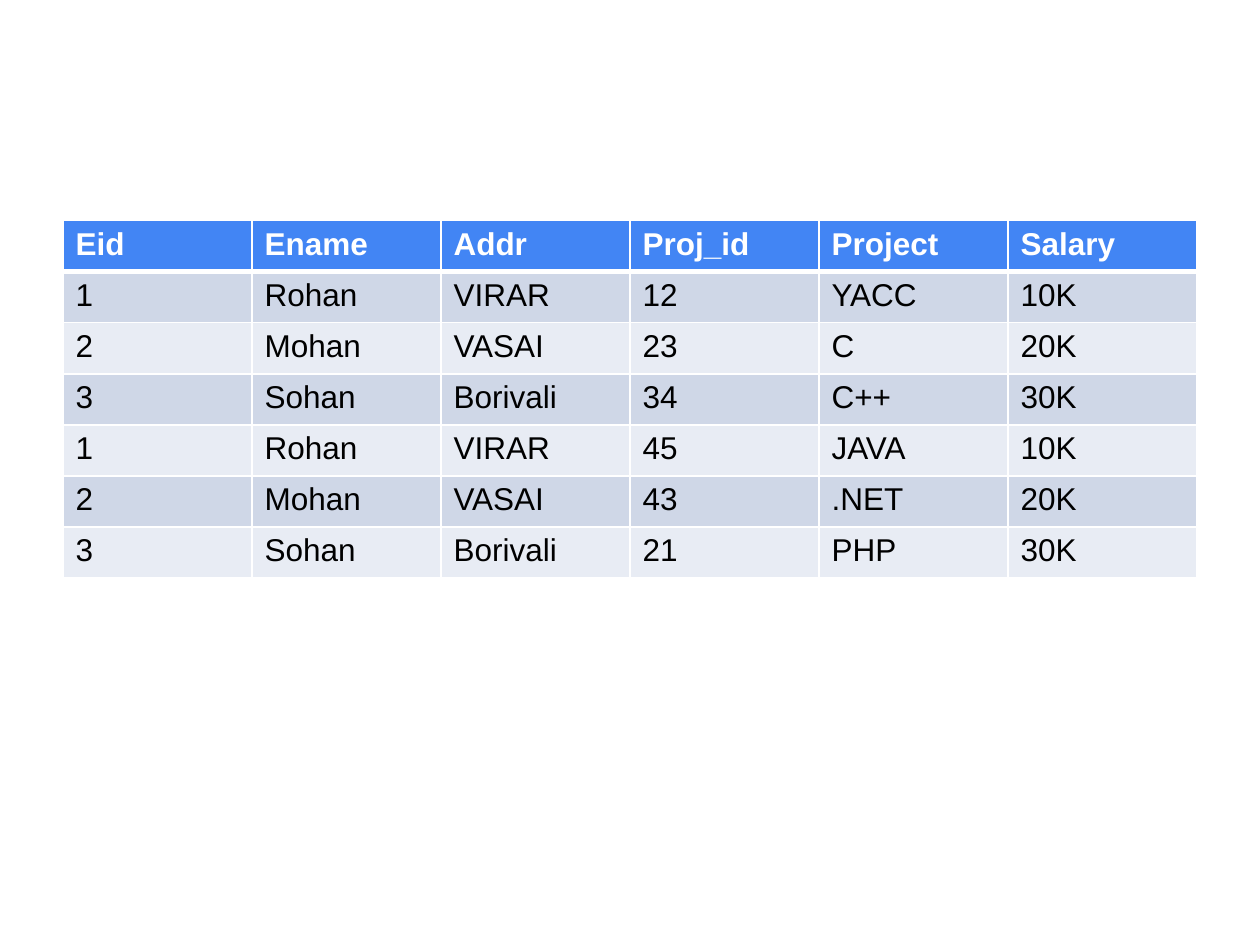
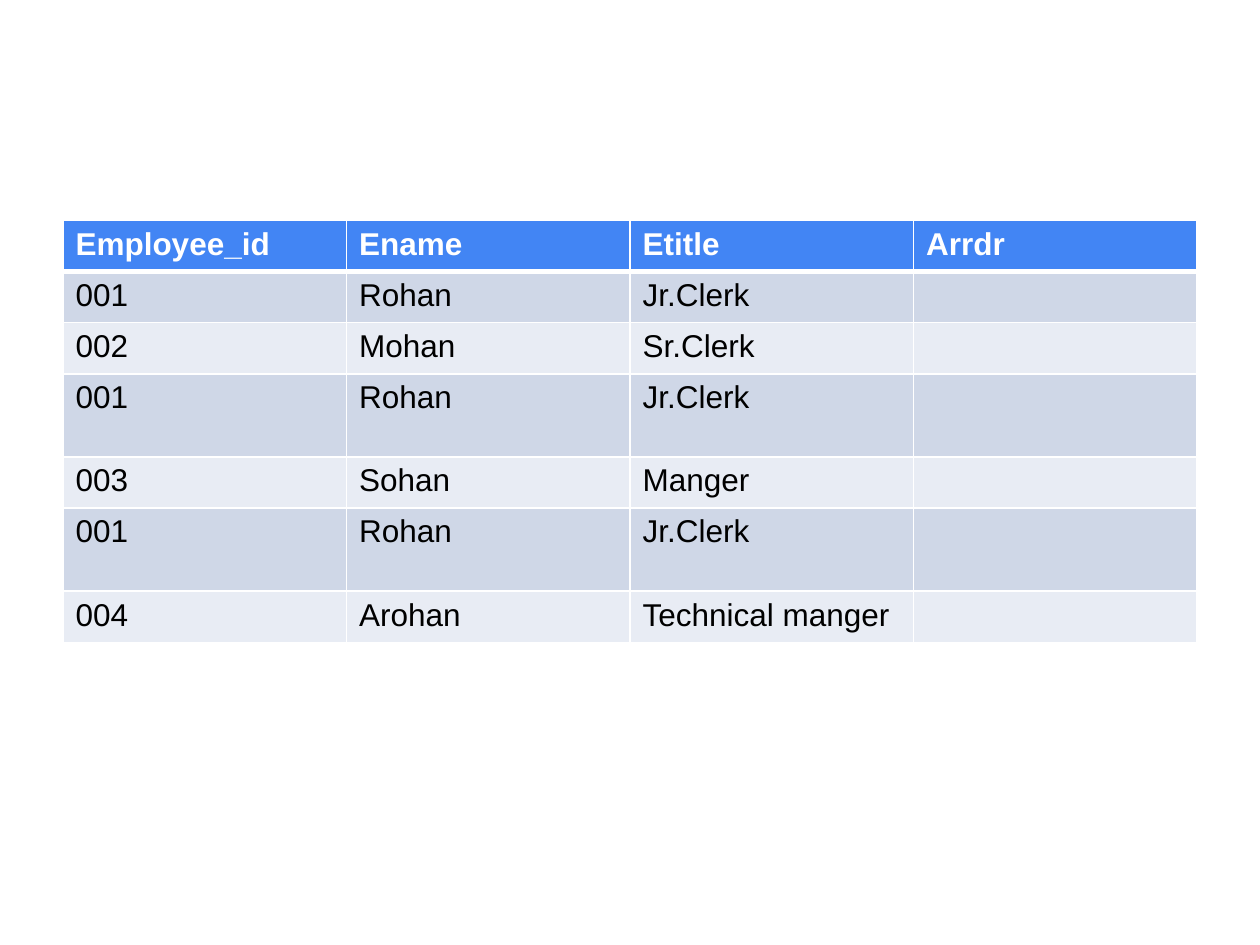
from dataclasses import dataclass

from lxml import etree
from pptx import Presentation
from pptx.dml.color import RGBColor
from pptx.oxml.ns import qn
from pptx.util import Inches, Pt

BLANK_LAYOUT = 6


@dataclass(frozen=True)
class Theme:
    font: str = "Arial"
    text_size: int = 18
    header_fill: str = "4285F4"
    header_text: str = "FFFFFF"
    body_fills: tuple = ("CFD7E7", "E8ECF4")
    body_text: str = "000000"
    border: str = "FFFFFF"
    thin: int = 1
    thick: int = 3


TABLE_LEFT, TABLE_TOP, TABLE_WIDTH = 0.5, 1.75, 9
ROW_HEIGHT = 2.84 / 7
TALL_ROW_HEIGHT = 0.66

PROJECT_ROWS = [
    ("Eid", "Ename", "Addr", "Proj_id", "Project", "Salary"),
    ("1", "Rohan", "VIRAR", "12", "YACC", "10K"),
    ("2", "Mohan", "VASAI", "23", "C", "20K"),
    ("3", "Sohan", "Borivali", "34", "C++", "30K"),
    ("1", "Rohan", "VIRAR", "45", "JAVA", "10K"),
    ("2", "Mohan", "VASAI", "43", ".NET", "20K"),
    ("3", "Sohan", "Borivali", "21", "PHP", "30K"),
]
TITLE_ROWS = [
    ("Employee_id", "Ename", "Etitle", "Arrdr"),
    ("001", "Rohan", "Jr.Clerk", ""),
    ("002", "Mohan", "Sr.Clerk", ""),
    ("001", "Rohan", "Jr.Clerk", ""),
    ("003", "Sohan", "Manger", ""),
    ("001", "Rohan", "Jr.Clerk", ""),
    ("004", "Arohan", "Technical manger", ""),
]
TALL_TITLE_ROWS = (3, 5)


class Deck:
    def __init__(self, theme):
        self.theme = theme
        self.presentation = Presentation()
        self.presentation.slide_width = Inches(10)
        self.presentation.slide_height = Inches(7.5)
        self.slide = None

    def add_slide(self):
        layout = self.presentation.slide_layouts[BLANK_LAYOUT]
        self.slide = self.presentation.slides.add_slide(layout)

    def add_table(self, rows, tall_rows=()):
        """Add a full-width table with a header row and equal columns."""
        heights = [TALL_ROW_HEIGHT if index in tall_rows else ROW_HEIGHT
                   for index in range(len(rows))]
        frame = self.slide.shapes.add_table(
            len(rows), len(rows[0]), Inches(TABLE_LEFT), Inches(TABLE_TOP),
            Inches(TABLE_WIDTH), Inches(sum(heights)))
        table = frame.table
        for row_index, (values, height) in enumerate(zip(rows, heights)):
            table.rows[row_index].height = Inches(height)
            for column_index, value in enumerate(values):
                self.style_cell(table.cell(row_index, column_index), value, row_index)

    def style_cell(self, cell, value, row_index):
        theme = self.theme
        is_header = row_index == 0
        self.set_borders(cell, row_index)
        fill = theme.header_fill if is_header else theme.body_fills[(row_index - 1) % 2]
        cell.fill.solid()
        cell.fill.fore_color.rgb = RGBColor.from_string(fill)
        cell.text_frame.text = value
        for run in cell.text_frame.paragraphs[0].runs:
            run.font.name = theme.font
            run.font.size = Pt(theme.text_size)
            run.font.bold = is_header
            run.font.color.rgb = RGBColor.from_string(
                theme.header_text if is_header else theme.body_text)

    def set_borders(self, cell, row_index):
        """Draw thin borders, with a thick one between header and body."""
        theme = self.theme
        widths = {
            "a:lnL": theme.thin,
            "a:lnR": theme.thin,
            "a:lnT": theme.thick if row_index == 1 else theme.thin,
            "a:lnB": theme.thick if row_index == 0 else theme.thin,
        }
        properties = cell._tc.get_or_add_tcPr()
        for tag, width in widths.items():
            line = etree.SubElement(properties, qn(tag), w=str(Pt(width)))
            solid = etree.SubElement(line, qn("a:solidFill"))
            etree.SubElement(solid, qn("a:srgbClr"), val=theme.border)


def main():
    deck = Deck(Theme())
    deck.add_slide()
    deck.add_table(PROJECT_ROWS)
    deck.add_slide()
    deck.add_table(TITLE_ROWS, TALL_TITLE_ROWS)
    deck.presentation.save("out.pptx")


if __name__ == "__main__":
    main()
